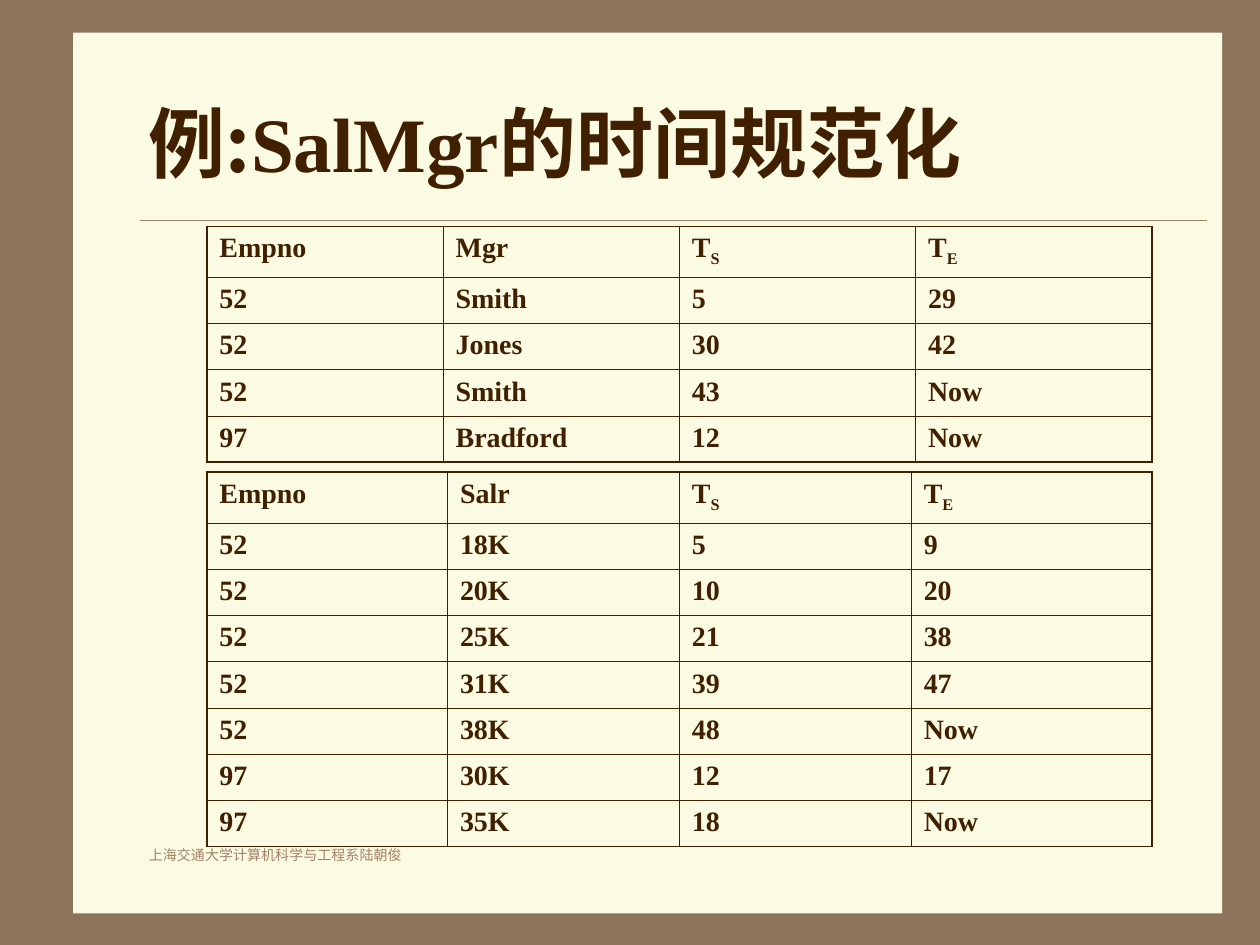
from lxml import etree
from pptx import Presentation
from pptx.dml.color import RGBColor
from pptx.enum.shapes import MSO_CONNECTOR, MSO_SHAPE
from pptx.enum.text import MSO_ANCHOR
from pptx.oxml.ns import qn
from pptx.util import Pt

RECTANGLE = MSO_SHAPE.RECTANGLE
STRAIGHT = MSO_CONNECTOR.STRAIGHT
TOP, MIDDLE = MSO_ANCHOR.TOP, MSO_ANCHOR.MIDDLE

# Content
LATIN, CJK = "Times New Roman", "Noto Sans CJK SC"
TITLE = [("例:", CJK), ("SalMgr", LATIN), ("的时间规范化", CJK)]
FOOTER = "上海交通大学计算机科学与工程系陆朝俊"
MANAGERS = [
    ("Empno", "Mgr", "T_S", "T_E"),
    ("52", "Smith", "5", "29"),
    ("52", "Jones", "30", "42"),
    ("52", "Smith", "43", "Now"),
    ("97", "Bradford", "12", "Now"),
]
SALARIES = [
    ("Empno", "Salr", "T_S", "T_E"),
    ("52", "18K", "5", "9"),
    ("52", "20K", "10", "20"),
    ("52", "25K", "21", "38"),
    ("52", "31K", "39", "47"),
    ("52", "38K", "48", "Now"),
    ("97", "30K", "12", "17"),
    ("97", "35K", "18", "Now"),
]
# Rows, top, height and column widths of each table
TABLES = [
    (MANAGERS, 129.4, 131.8, (135, 135, 135, 135)),
    (SALARIES, 269.8, 211.8, (137.5, 132.5, 132.5, 137.5)),
]
TABLE_LEFT = 118.2
HEADER_HEIGHT = 28

THEME = {
    "frame": "8C735A", "paper": "FBFAE2", "ink": "402000", "accent": "A08366",
    "title": 44, "cell": 16, "footer": 8,
    "outer": 1.08, "inner": 0.45, "rule": 0.25,
}


def color(name):
    return RGBColor.from_string(THEME[name])


def write(frame, runs, size, ink="ink", bold=True, before=0):
    """Fill a frame with (text, font) runs; a run starting with _ is a subscript."""
    frame.word_wrap = True
    paragraph = frame.paragraphs[0]
    paragraph.space_before = Pt(before)
    for text, face in runs:
        run = paragraph.add_run()
        run.text = text.lstrip("_")
        run.font.size = Pt(THEME[size])
        run.font.bold = bold
        run.font.color.rgb = color(ink)
        run.font.name = face
        properties = run.font._element
        etree.SubElement(properties, qn("a:ea")).set("typeface", CJK)
        if text.startswith("_"):
            properties.set("baseline", "-25000")


def add_text(slide, box, runs, size, anchor=TOP, **style):
    frame = slide.shapes.add_textbox(*map(Pt, box)).text_frame
    frame.vertical_anchor = anchor
    write(frame, runs, size, **style)


def draw_borders(cell, outer_sides):
    properties = cell._tc.get_or_add_tcPr()
    for place, side in enumerate("LRTB"):
        weight = THEME["outer" if side in outer_sides else "inner"]
        line = etree.Element(qn(f"a:ln{side}"), w=str(Pt(weight)))
        fill = etree.SubElement(line, qn("a:solidFill"))
        etree.SubElement(fill, qn("a:srgbClr"), val=THEME["ink"])
        properties.insert(place, line)


def add_grid(slide, rows, top, height, widths):
    last_row, last_column = len(rows) - 1, len(widths) - 1
    grid = slide.shapes.add_table(
        len(rows), len(widths), Pt(TABLE_LEFT), Pt(top), Pt(sum(widths)), Pt(height)
    ).table
    grid.first_row = grid.horz_banding = False
    for column, width in zip(grid.columns, widths):
        column.width = Pt(width)
    body_height = (height - HEADER_HEIGHT) / last_row
    for r, values in enumerate(rows):
        grid.rows[r].height = Pt(body_height if r else HEADER_HEIGHT)
        for c, value in enumerate(values):
            cell = grid.cell(r, c)
            cell.fill.background()
            base, mark, subscript = value.partition("_")
            runs = [(base, LATIN)]
            if mark:
                runs.append((mark + subscript, LATIN))
            write(cell.text_frame, runs, "cell", before=4)
            edges = {"L": c == 0, "R": c == last_column, "T": r == 0, "B": r == last_row}
            draw_borders(cell, [side for side, is_outer in edges.items() if is_outer])


def main():
    deck = Presentation()
    deck.slide_width, deck.slide_height = Pt(720), Pt(540)
    slide = deck.slides.add_slide(deck.slide_layouts[6])

    # Frame and paper
    slide.background.fill.solid()
    slide.background.fill.fore_color.rgb = color("frame")
    paper = slide.shapes.add_shape(RECTANGLE, Pt(41.8), Pt(18.7), Pt(656.6), Pt(503.3))
    paper.shadow.inherit = False
    paper.fill.solid()
    paper.fill.fore_color.rgb = color("paper")
    paper.line.fill.background()

    # Rule under the title
    rule = slide.shapes.add_connector(STRAIGHT, Pt(80), Pt(126), Pt(690), Pt(126))
    rule.line.color.rgb = color("accent")
    rule.line.width = Pt(THEME["rule"])
    etree.SubElement(rule._element.spPr, qn("a:effectLst"))

    # Title, footer and tables
    add_text(slide, (78, 36, 612, 90), TITLE, "title", anchor=MIDDLE)
    add_text(slide, (78, 480, 288, 36), [(FOOTER, LATIN)], "footer",
             ink="accent", bold=False, before=5)
    for table in TABLES:
        add_grid(slide, *table)

    deck.save("out.pptx")


if __name__ == "__main__":
    main()
